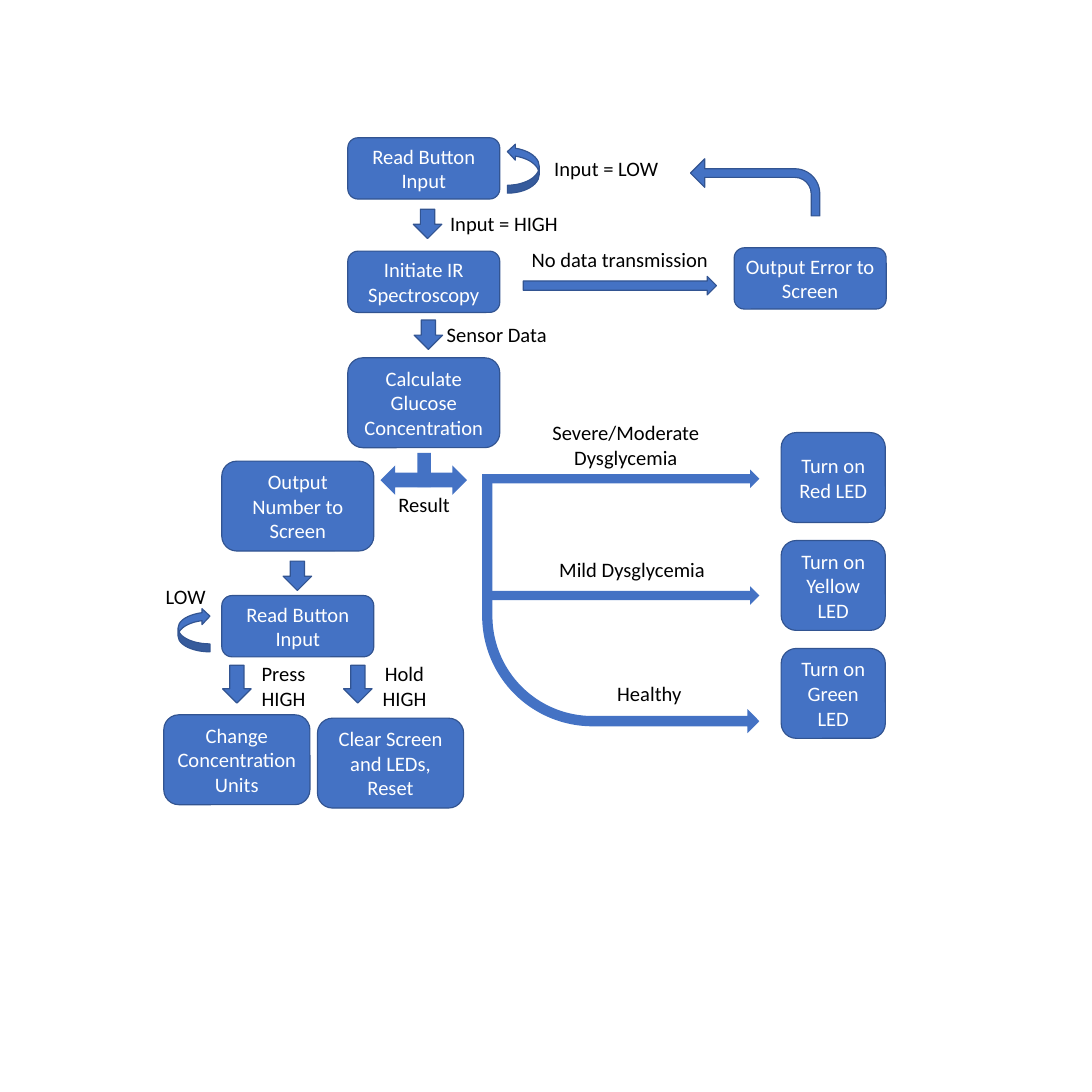
from dataclasses import dataclass
from pptx import Presentation
from pptx.dml.color import RGBColor
from pptx.enum.shapes import MSO_SHAPE as Preset
from pptx.enum.text import MSO_ANCHOR as Anchor, MSO_AUTO_SIZE as AutoSize, PP_ALIGN as Align
from pptx.util import Inches, Pt


@dataclass(frozen=True)
class Theme:
    font: str = "Calibri"
    size: float = 17.6
    fill: RGBColor = RGBColor(0x44, 0x72, 0xC4)
    outline: RGBColor = RGBColor(0x32, 0x54, 0x91)
    on_fill: RGBColor = RGBColor(0xFF, 0xFF, 0xFF)
    ink: RGBColor = RGBColor(0, 0, 0)


THEME = Theme()
STEP_W, SHORT_H, TALL_H = 1.81, 0.73, 1.07
LED_W, ACTION_W = 1.24, 1.74


def write(frame, text, color=THEME.ink, align=Align.CENTER, anchor=Anchor.TOP):
    frame.word_wrap = True
    frame.vertical_anchor = anchor
    paragraph = frame.paragraphs[0]
    paragraph.alignment = align
    run = paragraph.add_run()
    run.text = text
    run.font.name = THEME.font
    run.font.size = Pt(THEME.size)
    run.font.color.rgb = color


def add_block(shapes, preset, left, top, width, height, outlined=True, flip="", adjust=()):
    block = shapes.add_shape(preset, *map(Inches, (left, top, width, height)))
    block.shadow.inherit = False
    block.fill.solid()
    block.fill.fore_color.rgb = THEME.fill
    if outlined:
        block.line.color.rgb = THEME.outline
        block.line.width = Pt(1)
    else:
        block.line.fill.background()
    for axis in flip:
        block._element.spPr.xfrm.set("flip" + axis, "1")
    for index, value in enumerate(adjust):
        block.adjustments[index] = value
    return block


def add_step(shapes, text, left, top, width=STEP_W, height=SHORT_H):
    step = add_block(shapes, Preset.ROUNDED_RECTANGLE, left, top, width, height)
    write(step.text_frame, text, color=THEME.on_fill, anchor=Anchor.MIDDLE)


def add_label(shapes, text, left, top, width, height=0.39, align=Align.CENTER):
    label = shapes.add_textbox(*map(Inches, (left, top, width, height)))
    write(label.text_frame, text, align=align)
    label.text_frame.auto_size = AutoSize.SHAPE_TO_FIT_TEXT


def add_down_arrow(shapes, left, top, height=0.35):
    add_block(shapes, Preset.DOWN_ARROW, left, top, 0.34, height)


def add_measurement(shapes):
    # Main column from button to glucose value
    add_step(shapes, "Read Button Input", 4.14, 1.64)
    add_step(shapes, "Initiate IR Spectroscopy", 4.14, 2.99)
    add_step(shapes, "Calculate Glucose Concentration", 4.14, 4.26, height=TALL_H)
    add_down_arrow(shapes, 4.92, 2.49)
    add_down_arrow(shapes, 4.93, 3.81)
    add_block(shapes, Preset.CURVED_LEFT_ARROW, 6.04, 1.71, 0.38, 0.59, flip="V")
    for text, left, top in (("Input = LOW", 6.5, 1.81),
                            ("Input = HIGH", 5.26, 2.46),
                            ("Sensor Data", 5.22, 3.78)):
        add_label(shapes, text, left, top, 1.64, align=Align.LEFT)


def add_error_branch(shapes):
    add_block(shapes, Preset.RIGHT_ARROW, 6.23, 3.29, 2.3, 0.22)
    add_label(shapes, "No data transmission", 6.23, 2.89, 2.41, 0.4, align=Align.LEFT)
    add_step(shapes, "Output Error to Screen", 8.74, 2.95)
    add_block(shapes, Preset.BENT_ARROW, 8.22, 1.89, 1.54, 0.68, flip="H",
              adjust=(0.151, 0.25, 0.25, 0.438))


def add_result_split(shapes):
    split = shapes.add_group_shape().shapes
    add_block(split, Preset.LEFT_RIGHT_ARROW, 4.53, 5.54, 1.03, 0.35, outlined=False)
    add_block(split, Preset.RECTANGLE, 4.97, 5.39, 0.16, 0.41, outlined=False)
    add_label(shapes, "Result", 4.23, 5.81, 1.64)


def add_led_branch(shapes):
    # One LED per severity, at equal steps
    for row, color_name in enumerate(("Red", "Yellow", "Green")):
        add_step(shapes, f"Turn on {color_name} LED", 9.3, 5.15 + row * 1.285, LED_W, TALL_H)
    # Trunk bends into the lowest arrow
    add_block(shapes, Preset.BENT_ARROW, 5.74, 5.66, 3.3, 3.07, outlined=False, flip="V",
              adjust=(0.04, 0.047, 0.046, 0.428))
    for left, top in ((5.74, 5.59), (5.83, 6.98)):
        add_block(shapes, Preset.RIGHT_ARROW, left, top, 9.04 - left, 0.22, outlined=False)
    add_label(shapes, "Severe/Moderate Dysglycemia", 6.24, 4.95, 2.42, 0.69)
    add_label(shapes, "Mild Dysglycemia", 6.19, 6.58, 2.67, 0.4)
    add_label(shapes, "Healthy", 6.24, 8.06, 2.98, 0.4)


def add_screen_branch(shapes):
    add_step(shapes, "Output Number to Screen", 2.64, 5.49, height=TALL_H)
    add_down_arrow(shapes, 3.37, 6.68)
    add_step(shapes, "Read Button Input", 2.64, 7.09)
    add_block(shapes, Preset.CURVED_LEFT_ARROW, 2.12, 7.24, 0.38, 0.52, flip="HV")
    add_label(shapes, "LOW", 1.77, 6.9, 0.88)
    # Button gestures and their actions
    for gesture, arrow_left, action, left, top in (
            ("Press HIGH", 2.65, "Change Concentration Units", 1.95, 8.51),
            ("Hold HIGH", 4.09, "Clear Screen and LEDs, Reset", 3.78, 8.55)):
        add_down_arrow(shapes, arrow_left, 7.92, height=0.45)
        add_label(shapes, gesture, arrow_left + 0.28, 7.82, 0.89, 0.69)
        add_step(shapes, action, left, top, ACTION_W, TALL_H)


def main():
    deck = Presentation()
    deck.slide_width = deck.slide_height = Inches(13)
    blank_layout = deck.slide_layouts[6]
    shapes = deck.slides.add_slide(blank_layout).shapes
    add_measurement(shapes)
    add_error_branch(shapes)
    add_result_split(shapes)
    add_led_branch(shapes)
    add_screen_branch(shapes)
    deck.save("out.pptx")


main()
